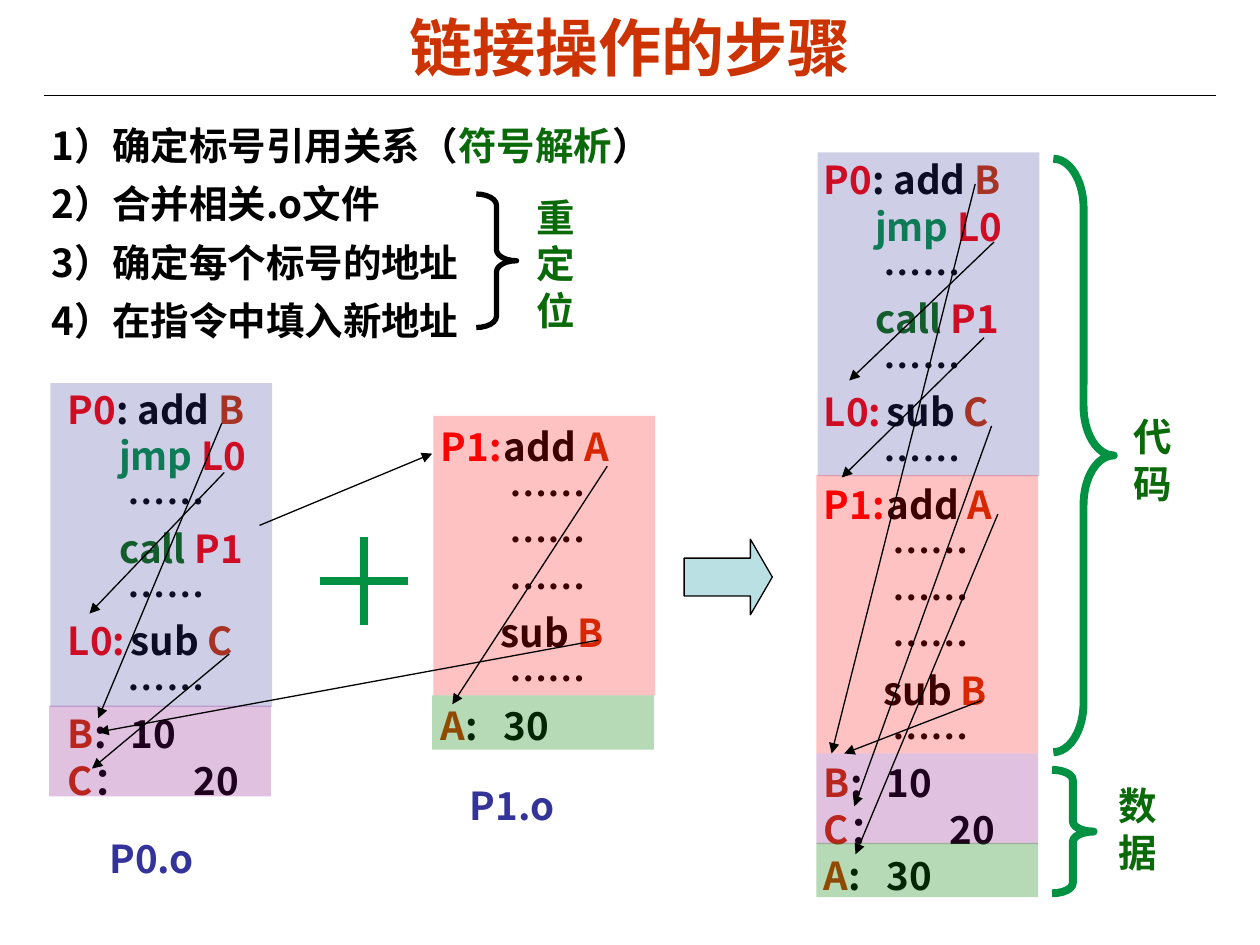
from dataclasses import dataclass
from typing import NamedTuple

import pptx
import pptx.dml.color
import pptx.enum.shapes
import pptx.enum.text
import pptx.oxml
import pptx.oxml.ns
import pptx.util
from lxml import etree

SHAPES = pptx.enum.shapes.MSO_SHAPE
ALIGN = pptx.enum.text.PP_ALIGN
ANCHOR = pptx.enum.text.MSO_ANCHOR
qn = pptx.oxml.ns.qn

COLUMNS, ROWS, CELL = 100, 75, 0.1  # grid of square cells, in inches
SPACE = 0.68  # one indent step, in cells


@dataclass(frozen=True)
class Theme:
    ink: str = "000000"
    title: str = "CC3300"
    label: str = "FF0000"
    variable: str = "CC3300"
    jump: str = "009242"
    note: str = "0A6A0A"
    file: str = "333399"
    arrow_fill: str = "BBE0E3"
    latin: str = "Arial"
    cjk: str = "Noto Sans CJK SC"
    title_size: float = 36
    body_size: float = 22
    line_pitch: float = 26.5
    thin: float = 0.75
    medium: float = 3
    thick: float = 4.5


THEME = Theme()


class Area(NamedTuple):
    left: float
    top: float
    width: float
    height: float


class Span(NamedTuple):
    text: str
    color: str = THEME.ink


class Line(NamedTuple):
    spans: tuple
    indent: float = 0
    tab: float = 0


class Band(NamedTuple):
    area: Area
    color: str
    opacity: int


class Arrow(NamedTuple):
    x1: float
    y1: float
    x2: float
    y2: float


class Brace(NamedTuple):
    area: Area
    color: str
    width: float
    label: str
    label_area: Area


def cells(count: float) -> int:
    return pptx.util.Inches(count * CELL)


def rgb(color: str):
    return pptx.dml.color.RGBColor.from_string(color)


def add_text(slide, area: Area, lines, *, font=THEME.cjk, size=THEME.body_size,
             pitch=THEME.line_pitch, before=0, align=ALIGN.LEFT, anchor=ANCHOR.TOP):
    """Write one paragraph per Line; indents and tab stops are in grid cells."""
    box = slide.shapes.add_textbox(*map(cells, area))
    frame = box.text_frame
    frame.word_wrap = True
    frame.vertical_anchor = anchor
    for index, line in enumerate(lines):
        para = frame.paragraphs[0] if index == 0 else frame.add_paragraph()
        para.alignment = align
        para.space_before = pptx.util.Pt(before)
        if pitch:
            para.line_spacing = pptx.util.Pt(pitch)
        properties = para._p.get_or_add_pPr()
        properties.set("marL", str(cells(line.indent)))
        properties.set("indent", "0")
        if line.tab:
            stops = etree.SubElement(properties, qn("a:tabLst"))
            etree.SubElement(stops, qn("a:tab"), pos=str(cells(line.tab)), algn="l")
        for text, color in line.spans:
            span = para.add_run()
            span.text = text
            span.font.name = font
            span.font.size = pptx.util.Pt(size)
            span.font.bold = True
            span.font.color.rgb = rgb(color)
            etree.SubElement(span._r.get_or_add_rPr(), qn("a:ea"), typeface=THEME.cjk)


def add_line(slide, arrow: Arrow, color=THEME.ink, width=THEME.thin, head=True):
    line = slide.shapes.add_connector(
        pptx.enum.shapes.MSO_CONNECTOR.STRAIGHT, *map(cells, arrow))
    line.line.color.rgb = rgb(color)
    line.line.width = pptx.util.Pt(width)
    if head:
        etree.SubElement(line.line._get_or_add_ln(), qn("a:tailEnd"), type="triangle")
    etree.SubElement(line._element.spPr, qn("a:effectLst"))


def add_shape(slide, kind, area: Area, *, fill=None, opacity=100, line=None, width=THEME.thin):
    shape = slide.shapes.add_shape(kind, *map(cells, area))
    shape.shadow.inherit = False
    if fill:
        shape.fill.solid()
        shape.fill.fore_color.rgb = rgb(fill)
        if opacity < 100:
            color = shape._element.spPr.find(".//" + qn("a:srgbClr"))
            etree.SubElement(color, qn("a:alpha"), val=str(opacity * 1000))
    else:
        shape.fill.background()
    if line:
        shape.line.color.rgb = rgb(line)
        shape.line.width = pptx.util.Pt(width)
    else:
        shape.line.fill.background()
    return shape


def add_brace(slide, brace: Brace):
    shape = add_shape(slide, SHAPES.RIGHT_BRACE, brace.area, line=brace.color, width=brace.width)
    shape.adjustments[0] = brace.area.height / 12 / brace.area.width
    add_text(slide, brace.label_area, [Line((Span(brace.label, THEME.note),))],
             font=THEME.latin, before=13.8)


def dots(indent: int) -> Line:
    return Line((Span("……"),), indent * SPACE)


def variable(name: str, value: str, tab: float) -> Line:
    return Line((Span(name[0], THEME.variable), Span(f"{name[1:]}\t{value}")), tab=tab)


def labelled(label: str, operation: str, name: str, tab: float) -> Line:
    return Line((Span(f"{label}:\t", THEME.label), Span(f"{operation} "),
                 Span(name, THEME.variable)), tab=tab)


STEPS = [
    Line((Span("1）确定标号引用关系（"), Span("符号解析", THEME.note), Span("）"))),
    *(Line((Span(step),)) for step in
      ("2）合并相关.o文件", "3）确定每个标号的地址", "4）在指令中填入新地址")),
]
P0_CODE = [
    Line((Span("P0", THEME.label), Span(": add "), Span("B", THEME.variable))),
    Line((Span("jmp ", THEME.jump), Span("L0", THEME.label)), 6 * SPACE),
    dots(7),
    Line((Span("call ", THEME.note), Span("P1", THEME.label)), 6 * SPACE),
    dots(7),
    labelled("L0", "sub", "C", 5.7),
    dots(7),
]
P1_CODE = [
    labelled("P1", "add", "A", 6.1),
    *[dots(8)] * 3,
    Line((Span("sub "), Span("B", THEME.variable)), 7 * SPACE),
    dots(8),
]
P0_DATA = [variable("B:", "10", 6.4), variable("C：", "20", 7.75)]
P1_DATA = [variable("A:", "30", 5.65)]

LISTINGS = [
    (Area(64.4, 11.9, 20.5, 59.7), P0_CODE + P1_CODE + P0_DATA + P1_DATA),
    (Area(34, 33.1, 19, 26.7), P1_CODE + P1_DATA),
    (Area(4.4, 30.1, 20.5, 34), P0_CODE + P0_DATA),
]
BAND = 17.6
P0_CODE_FILL, P1_CODE_FILL = ("333399", 24), ("FF0000", 24)
P0_DATA_FILL, P1_DATA_FILL = ("800080", 24), ("008000", 29)
BANDS = [
    Band(Area(64.9, 12.1, BAND, 25.7), *P0_CODE_FILL),
    Band(Area(64.8, 37.7, BAND, 22.1), *P1_CODE_FILL),
    Band(Area(64.8, 59.8, BAND, 7.2), *P0_DATA_FILL),
    Band(Area(64.8, 66.9, BAND, 4.3), *P1_DATA_FILL),
    Band(Area(34.4, 33, BAND, 22.2), *P1_CODE_FILL),
    Band(Area(34.3, 55.2, BAND, 4.3), *P1_DATA_FILL),
    Band(Area(4, 30.4, BAND, 25.7), *P0_CODE_FILL),
    Band(Area(3.9, 56, BAND, 7.2), *P0_DATA_FILL),
]
FILES = [("P1.o", Area(36.3, 61.6, 10.2, 4.7)), ("P0.o", Area(7.7, 65.8, 10.2, 4.7))]
BRACES = [
    Brace(Area(83.6, 12.6, 4.8, 47.1), THEME.jump, THEME.thick, "代码", Area(89, 32.3, 7, 8.4)),
    Brace(Area(83.5, 61.1, 3.3, 9.8), THEME.jump, THEME.thick, "数据", Area(87.8, 61.6, 7, 8.4)),
    Brace(Area(37.8, 15.4, 3.2, 10.6), THEME.ink, THEME.medium, "重定位",
          Area(41.6, 14.9, 5.9, 12)),
]
REFERENCES = [
    Arrow(77.4, 14.6, 66, 59.8), Arrow(77.9, 55.6, 67, 59.8), Arrow(79.2, 40.8, 67.9, 67.8),
    Arrow(78.7, 33.8, 67.8, 64), Arrow(78.9, 19.2, 67.4, 30.2), Arrow(78.1, 26.8, 66.8, 37.9),
    Arrow(20.6, 41.7, 34.3, 36), Arrow(17.8, 37.5, 7.1, 48.7), Arrow(17.6, 33.6, 7.8, 57),
    Arrow(18.2, 51.9, 7.3, 61), Arrow(48.2, 37, 35.9, 55.9), Arrow(47.5, 50.8, 7.8, 58.1),
]
PLUS = [Arrow(25.4, 46.1, 32.4, 46.1), Arrow(28.9, 42.6, 28.9, 49.6)]


def main():
    deck = pptx.Presentation()
    deck.slide_width, deck.slide_height = cells(COLUMNS), cells(ROWS)
    page = deck.slides.add_slide(deck.slide_layouts[6])

    add_line(page, Arrow(3.5, 7.6, 96.5, 7.6), head=False)
    add_text(page, Area(5, 0.6, 90, 6.1), [Line((Span("链接操作的步骤", THEME.title),))],
             font=THEME.latin, size=THEME.title_size, pitch=None,
             align=ALIGN.CENTER, anchor=ANCHOR.MIDDLE)
    add_text(page, Area(3.1, 9, 52.7, 18.8), STEPS, pitch=THEME.line_pitch * 1.05, before=5.5)
    for stroke in PLUS:
        add_line(page, stroke, THEME.jump, THEME.thick, head=False)
    merge = add_shape(page, SHAPES.RIGHT_ARROW, Area(54.3, 42.8, 7, 6),
                      fill=THEME.arrow_fill, line=THEME.ink)
    merge.adjustments[1] = 0.29
    for area, lines in LISTINGS:
        add_text(page, area, lines)
    for band in BANDS:
        add_shape(page, SHAPES.RECTANGLE, band.area, fill=band.color, opacity=band.opacity)
    for name, area in FILES:
        add_text(page, area, [Line((Span(name, THEME.file),))], before=13.8)
    for brace in BRACES:
        add_brace(page, brace)
    for reference in REFERENCES:
        add_line(page, reference)
    deck.save("out.pptx")


if __name__ == "__main__":
    main()
